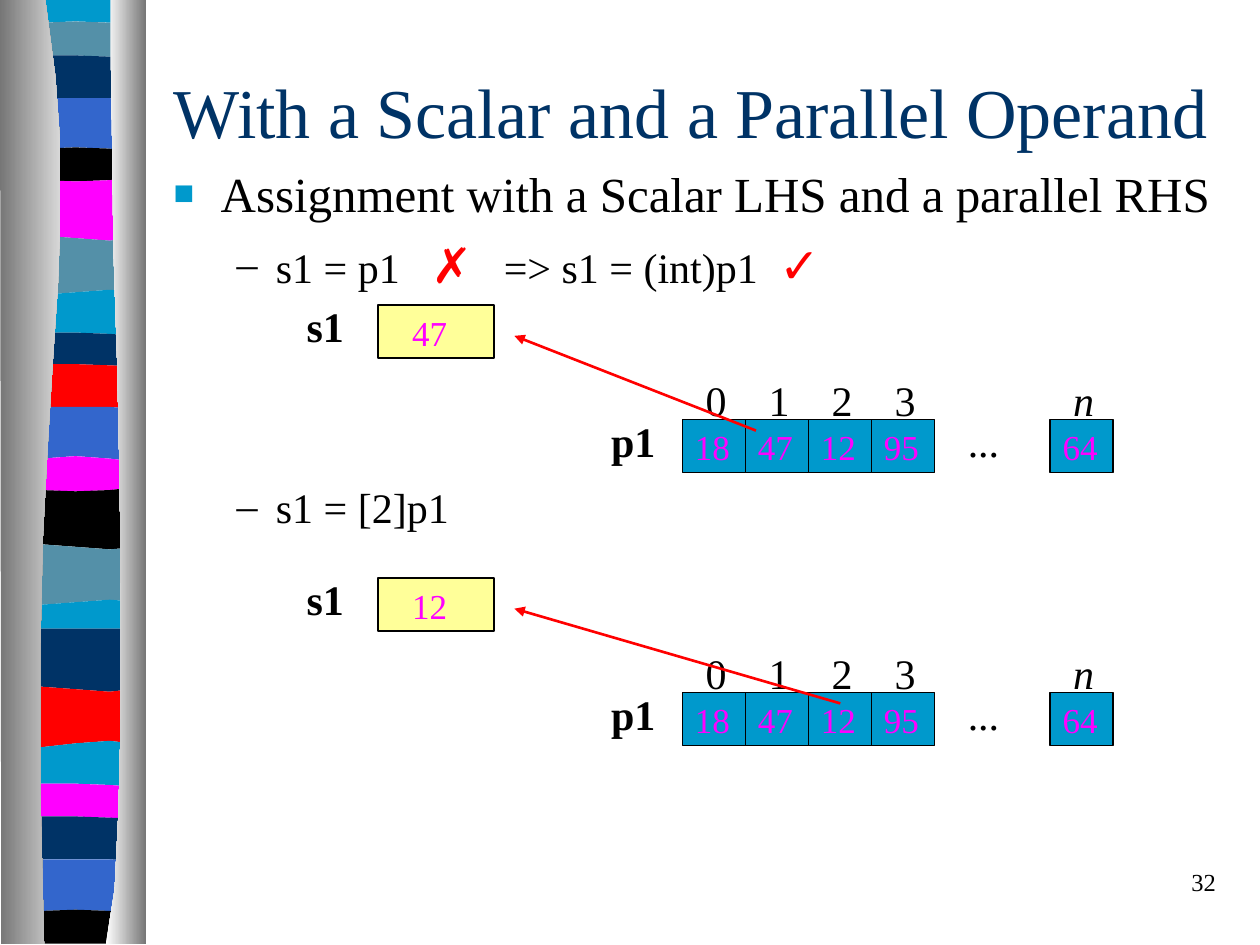
from lxml.etree import SubElement
from pptx import Presentation
from pptx.dml.color import RGBColor
from pptx.enum.shapes import MSO_CONNECTOR, MSO_SHAPE
from pptx.enum.text import MSO_ANCHOR, MSO_AUTO_SIZE, PP_ALIGN
from pptx.oxml.ns import qn
from pptx.util import Cm, Pt

FONT = "Times New Roman"
BLACK = RGBColor(0x00, 0x00, 0x00)
WHITE = RGBColor(0xFF, 0xFF, 0xFF)
NAVY = RGBColor(0x00, 0x33, 0x66)
CYAN = RGBColor(0x00, 0x99, 0xCC)
TEAL = RGBColor(0x54, 0x90, 0xA8)
BLUE = RGBColor(0x33, 0x66, 0xCC)
MAGENTA = RGBColor(0xFF, 0x00, 0xFF)
RED = RGBColor(0xFF, 0x00, 0x00)
YELLOW = RGBColor(0xFF, 0xFF, 0x99)
GREY = RGBColor(0x76, 0x76, 0x76)
SILVER = RGBColor(0xD8, 0xD8, 0xD8)


def curve(points, steps):
    """Sample a cubic Bezier curve given by four points."""
    samples = []
    for i in range(steps + 1):
        t = i / steps
        weights = ((1 - t) ** 3, 3 * t * (1 - t) ** 2, 3 * t * t * (1 - t), t ** 3)
        samples.append(tuple(sum(w * p[axis] for w, p in zip(weights, points)) for axis in (0, 1)))
    return samples


def add_label(text, left, top, width, size=24, bold=False, italic=False, align=PP_ALIGN.LEFT):
    frame = slide.shapes.add_textbox(Cm(left), Cm(top), Cm(width), Cm(1.27)).text_frame
    frame.word_wrap = True
    line = frame.paragraphs[0]
    line.text = text
    line.alignment = align
    line.font.name, line.font.size = FONT, Pt(size)
    line.font.bold, line.font.italic = bold, italic
    line.font.color.rgb = BLACK


prs = Presentation()
prs.slide_width, prs.slide_height = Cm(25.4), Cm(19.05)
slide = prs.slides.add_slide(prs.slide_layouts[5])

# Ribbon of coloured bands: heights of each wavy top edge, in hundredths of an inch
bands = [
    (CYAN, (0, 0, 0, 0)), (TEAL, (21, 15, 17, 21)), (NAVY, (46, 41, 46, 46)),
    (BLUE, (80, 77, 77, 79)), (BLACK, (121, 116, 115, 121)), (MAGENTA, (140, 146, 146, 140)),
    (TEAL, (188, 182, 196, 188)), (CYAN, (232, 240, 224, 232)), (NAVY, (267, 262, 263, 267)),
    (RED, (291, 286, 291, 291)), (BLUE, (324, 322, 322, 325)), (MAGENTA, (367, 361, 361, 367)),
    (BLACK, (386, 391, 391, 386)), (TEAL, (434, 428, 441, 434)), (CYAN, (478, 486, 470, 478)),
    (NAVY, (499, 499, 499, 499)), (RED, (546, 541, 554, 546)), (CYAN, (591, 598, 582, 591)),
    (MAGENTA, (625, 620, 621, 625)), (NAVY, (650, 645, 650, 650)), (BLUE, (683, 681, 681, 684)),
    (BLACK, (726, 720, 720, 726)),
]
band_xs = (6, 42, 78, 114)
edges = [curve(list(zip(band_xs, heights)), 4) for _, heights in bands]
edges.append([(6, 749), (114, 749)])
outlines = [
    (edges[i] + edges[i + 1][::-1], (color,)) for i, (color, _) in enumerate(bands)
]

# Shaded columns on both sides of the ribbon
outlines += [
    (curve([(36, 0), (71, 216), (17, 296), (35, 749)], 10) + [(1, 749), (0, 0)], (GREY, SILVER)),
    (curve([(88, 0), (84, 125), (111, 646), (84, 749)], 10) + [(116, 749), (116, 0)], (WHITE, GREY)),
]
for outline, colors in outlines:
    builder = slide.shapes.build_freeform(*outline[0], scale=Cm(0.0254))
    builder.add_line_segments(outline[1:], close=True)
    piece = builder.convert_to_shape()
    piece.shadow.inherit = False
    piece.line.fill.background()
    if len(colors) == 1:
        piece.fill.solid()
        piece.fill.fore_color.rgb = colors[0]
    else:
        piece.fill.gradient()
        piece.fill.gradient_angle = 0
        for stop, color in zip(piece.fill.gradient_stops, colors):
            stop.color.rgb = color

# Title
title = slide.shapes.title
title.left, title.top, title.width, title.height = Cm(3.25), Cm(1.27), Cm(21.59), Cm(1.9)
title.text_frame.text = "With a Scalar and a Parallel Operand"
title.text_frame.auto_size = MSO_AUTO_SIZE.NONE
title.text_frame.vertical_anchor = MSO_ANCHOR.MIDDLE
heading = title.text_frame.paragraphs[0]
heading.alignment = PP_ALIGN.LEFT
heading.font.name, heading.font.size = FONT, Pt(40)
heading.font.color.rgb = NAVY

# Bulleted statements: (text, gap after in points), size, bullet, colour, percent,
# margin, hanging, space before
statements = [
    ([("Assignment with a Scalar LHS and a parallel RHS", 0)], 28, "■", CYAN, 70, 0.95, 0.95, 0),
    ([("s1 = p1", 12), ("✗", 12), ("=> s1 = (int)p1", 6), ("✓", 0)],
     24, "–", BLACK, 100, 2.06, 0.79, 7),
    ([("s1 = [2]p1", 0)], 24, "–", BLACK, 100, 2.06, 0.79, 107),
]
body = slide.shapes.add_textbox(Cm(3.25), Cm(3.18), Cm(21.59), Cm(13.76)).text_frame
body.word_wrap = True
for i, (parts, size, bullet, color, percent, margin, hanging, before) in enumerate(statements):
    statement = body.paragraphs[0] if i == 0 else body.add_paragraph()
    props = statement._p.get_or_add_pPr()
    props.set("marL", str(Cm(margin)))
    props.set("indent", str(-Cm(hanging)))
    statement.space_before = Pt(before)
    SubElement(SubElement(props, qn("a:buClr")), qn("a:srgbClr")).set("val", str(color))
    SubElement(props, qn("a:buSzPct")).set("val", str(percent * 1000))
    SubElement(props, qn("a:buFont")).set("typeface", FONT)
    SubElement(props, qn("a:buChar")).set("char", bullet)
    for text, gap in parts:
        run = statement.add_run()
        run.text = text
        is_mark = text in "✗✓"
        run.font.name = "Arial" if is_mark else FONT
        run.font.size = Pt(28 if is_mark else size)
        run.font.color.rgb = RED if is_mark else BLACK
        if gap:  # one widened space
            space = statement.add_run()
            space.text = " "
            space.font.name, space.font.size = FONT, Pt(size)
            space._r.get_or_add_rPr().set("spc", str(gap * 100))

# Diagrams: scalar s1 receives one element of parallel p1
p1_cells = [("0", "18", 13.76), ("1", "47", 15.03), ("2", "12", 16.3),
            ("3", "95", 17.57), ("n", "64", 21.17)]
for offset, scalar, arrow_x in [(0, "47", 15.24), (5.5, "12", 16.94)]:
    boxes = [(value, left, 8.46, 1.27, 0.25, CYAN) for _, value, left in p1_cells]
    boxes.append((scalar, 7.62, 6.15, 2.34, 0.69, YELLOW))
    for value, left, top, width, inset, color in boxes:
        cell = slide.shapes.add_shape(
            MSO_SHAPE.RECTANGLE, Cm(left), Cm(top + offset), Cm(width), Cm(1.07))
        cell.shadow.inherit = False
        cell.fill.solid()
        cell.fill.fore_color.rgb = color
        cell.line.color.rgb = BLACK
        cell.line.width = Pt(0.75)
        content = cell.text_frame
        content.margin_left, content.margin_right = Cm(inset), Cm(0)
        content.vertical_anchor = MSO_ANCHOR.TOP
        number = content.paragraphs[0]
        number.text = value
        number.alignment = PP_ALIGN.LEFT
        number.font.name, number.font.size = FONT, Pt(20)
        number.font.color.rgb = MAGENTA

    for index, _, left in p1_cells:
        add_label(index, left, 7.42 + offset, 1.35, italic=index == "n", align=PP_ALIGN.CENTER)
    add_label("p1", 12.07, 8.26 + offset, 1.48, bold=True)
    add_label("...", 19.26, 8.26 + offset, 1.69)
    add_label("s1", 5.93, 5.93 + offset, 1.48, bold=True)

    arrow = slide.shapes.add_connector(
        MSO_CONNECTOR.STRAIGHT, Cm(arrow_x), Cm(8.68 + offset), Cm(10.37), Cm(6.77 + offset))
    arrow.line.color.rgb = RED
    arrow.line.width = Pt(1.5)
    SubElement(arrow.line._get_or_add_ln(), qn("a:tailEnd")).set("type", "triangle")
    SubElement(arrow._element.spPr, qn("a:effectLst"))

# Slide number
add_label("32", 19.47, 17.36, 5.29, size=14, align=PP_ALIGN.RIGHT)

prs.save("out.pptx")
